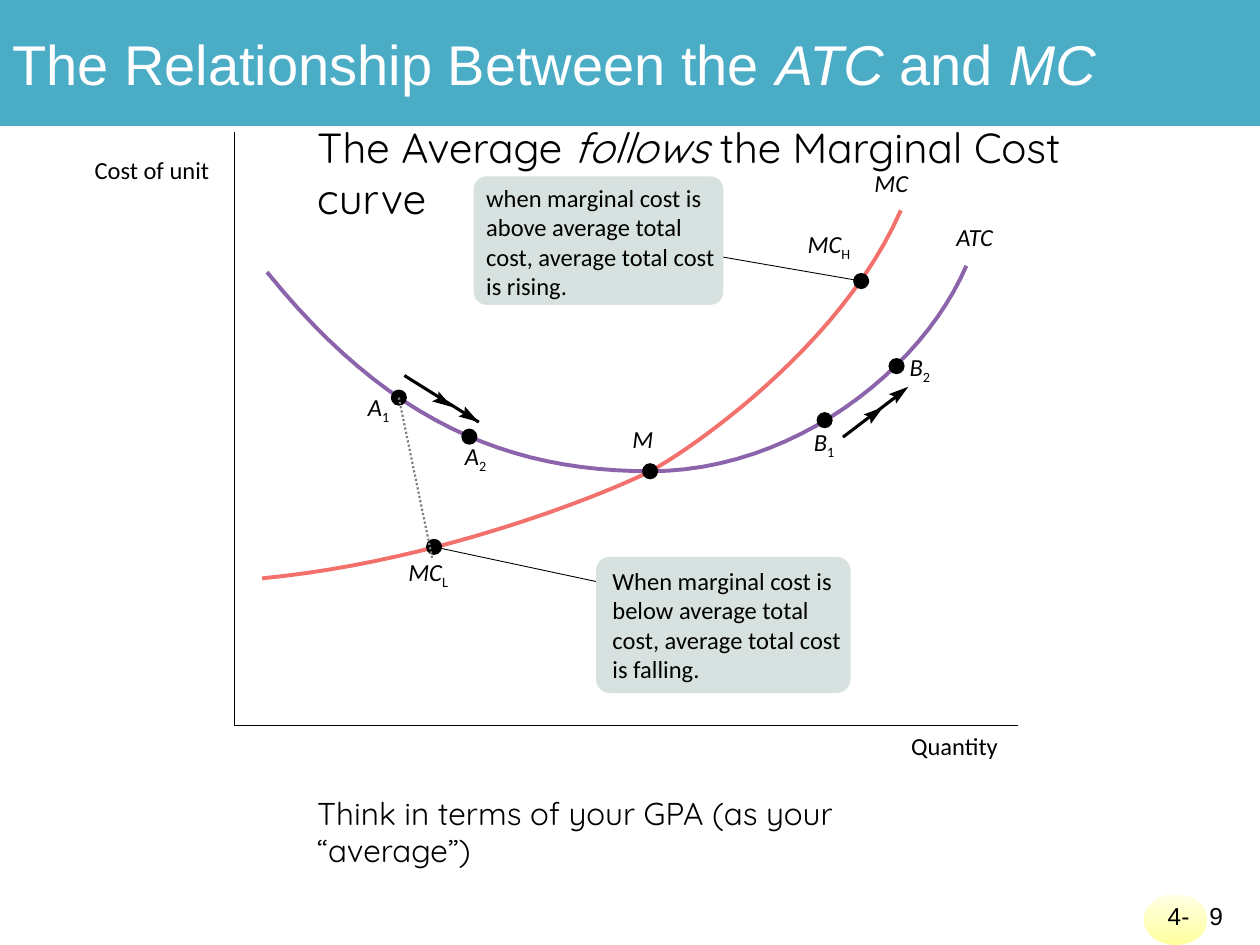
from dataclasses import dataclass
from math import atan2, cos, sin

from lxml.etree import SubElement
from pptx import Presentation
from pptx.dml.color import RGBColor
from pptx.enum.dml import MSO_LINE
from pptx.enum.shapes import MSO_CONNECTOR, MSO_SHAPE
from pptx.enum.text import MSO_ANCHOR, PP_ALIGN
from pptx.oxml.ns import qn
from pptx.util import Pt

BLACK, WHITE, GREY = "000000", "FFFFFF", "808080"
TEAL, PALE, PURPLE, CORAL = "4BACC6", "D7E2E0", "8C64AB", "F3716D"


def rgb(value):
    return RGBColor.from_string(value)


def bezier(start, *segments, steps=24):
    points = [start]
    for bend_1, bend_2, end in segments:
        corners = (points[-1], bend_1, bend_2, end)
        for step in range(1, steps + 1):
            t = step / steps
            weights = ((1 - t) ** 3, 3 * t * (1 - t) ** 2, 3 * t * t * (1 - t), t ** 3)
            points.append(tuple(sum(w * c[axis] for w, c in zip(weights, corners))
                                for axis in (0, 1)))
    return points


@dataclass
class CostSlide:
    """Holds the text style and the slide being drawn."""

    slide: object
    font: str = "Calibri"
    size: float = 14

    def fill_text(self, frame, runs, font=None, size=None, color=BLACK, insets=(0, 0, 0, 0)):
        frame.word_wrap = True
        frame.margin_left, frame.margin_top, frame.margin_right, frame.margin_bottom = map(Pt, insets)
        paragraph = frame.paragraphs[0]
        paragraph.alignment = PP_ALIGN.LEFT
        paragraph.font.name = font or self.font
        paragraph.font.size = Pt(size or self.size)
        paragraph.font.color.rgb = rgb(color)
        for words, style in runs:
            run = paragraph.add_run()
            run.text = words
            if style == "italic":
                run.font.italic = True
            elif style == "sub":
                run._r.get_or_add_rPr().set("baseline", "-25000")

    def text(self, box, runs, **style):
        self.fill_text(self.slide.shapes.add_textbox(*map(Pt, box)).text_frame, runs, **style)

    def shape(self, kind, box, fill):
        shape = self.slide.shapes.add_shape(kind, *map(Pt, box))
        shape.shadow.inherit = False
        shape.line.fill.background()
        shape.fill.solid()
        shape.fill.fore_color.rgb = rgb(fill)
        return shape

    def title(self, box, runs):
        frame = self.shape(MSO_SHAPE.RECTANGLE, box, TEAL).text_frame
        frame.vertical_anchor = MSO_ANCHOR.MIDDLE
        self.fill_text(frame, runs, font="Arial", size=32, color=WHITE, insets=(7.2, 3.6, 7.2, 3.6))

    def note(self, box, words, left, top):
        panel = self.shape(MSO_SHAPE.ROUNDED_RECTANGLE, box, PALE)
        panel.adjustments[0] = 0.1
        panel.text_frame.vertical_anchor = MSO_ANCHOR.TOP
        self.fill_text(panel.text_frame, [(words, "")], insets=(left, top, 0, 0))

    def dot(self, center, diameter=9.2):
        x, y = center
        self.shape(MSO_SHAPE.OVAL, (x - diameter / 2, y - diameter / 2, diameter, diameter), BLACK)

    def badge(self, box, bottom, top):
        fill = self.shape(MSO_SHAPE.OVAL, box, bottom).fill
        fill.gradient()
        fill.gradient_angle = 90
        for stop, color in zip(fill.gradient_stops, (bottom, top)):
            stop.color.rgb = rgb(color)

    def outline(self, points, closed=False):
        start, *rest = [(Pt(x), Pt(y)) for x, y in points]
        builder = self.slide.shapes.build_freeform(*start)
        builder.add_line_segments(rest, close=closed)
        shape = builder.convert_to_shape()
        shape.shadow.inherit = False
        return shape

    def curve(self, points, color, width):
        curve = self.outline(points)
        curve.fill.background()
        curve.line.color.rgb = rgb(color)
        curve.line.width = Pt(width)

    def line(self, start, end, color=BLACK, width=0.5, dash=None):
        line = self.slide.shapes.add_connector(MSO_CONNECTOR.STRAIGHT, *map(Pt, start + end))
        SubElement(line._element.spPr, qn("a:effectLst"))
        line.line.color.rgb = rgb(color)
        line.line.width = Pt(width)
        if dash:
            line.line.dash_style = dash

    def arrow(self, start, end, tips):
        self.line(start, end, width=1.75)
        angle = atan2(end[1] - start[1], end[0] - start[0])
        for x, y in tips:
            corners = ((0, 0), (-11.5, -3.4), (-9.5, 0), (-11.5, 3.4))
            head = self.outline([(x + along * cos(angle) - across * sin(angle),
                                  y + along * sin(angle) + across * cos(angle))
                                 for along, across in corners], closed=True)
            head.fill.solid()
            head.fill.fore_color.rgb = rgb(BLACK)
            head.line.fill.background()


def main():
    deck = Presentation()
    deck.slide_width, deck.slide_height = Pt(720), Pt(540)
    page = CostSlide(deck.slides.add_slide(deck.slide_layouts[6]))
    padding = (7.2, 3.6, 7.2, 3.6)

    page.badge((653.8, 511.2, 36, 28.8), "FFFFA0", "FFFFE3")
    for left, width, words in ((660.2, 30.2, "4-"), (684, 36, "9")):
        page.text((left, 511.2, width, 28.8), [(words, "")], font="Arial", insets=padding)
    page.title((0, 0, 720, 72), [("The Relationship Between the ", ""), ("ATC", "italic"),
                                 (" and ", ""), ("MC", "italic")])

    page.text((54, 88.6, 120, 17), [("Cost of unit", "")])
    page.text((520.6, 417.6, 54, 17), [("Quantity", "")])
    page.curve([(581.8, 414.7), (133.9, 414.7), (133.9, 75.6)], BLACK, 0.5)

    minimum = (371.5, 269.3)
    average_total = bezier((152.6, 155.5), ((221.8, 241.2), (290.2, 269.3), minimum),
                           ((453.6, 269.3), (527, 211), (552.2, 151.9)))
    marginal = bezier((149.8, 330.5), ((254.9, 320.4), (352.1, 279.4), minimum),
                      ((391, 259.2), (480.2, 199.4), (514.8, 120.2)))
    page.curve(average_total, PURPLE, 2.25)
    page.curve(marginal, CORAL, 2.25)

    low, high, first = (248, 312.5), (492.1, 160.6), (227.9, 227.2)
    labels = (
        ("MC", "", (499.7, 95.8), 24, None),
        ("ATC", "", (546.5, 126.7), 29, None),
        ("MC", "L", (233.3, 318.2), 29, low),
        ("MC", "H", (461.5, 131), 30, high),
        ("A", "1", (210.2, 223.9), 17, first),
        ("B", "1", (465.1, 244.1), 17, (471.2, 240.1)),
        ("A", "2", (265.7, 252), 17, (268.2, 249.5)),
        ("B", "2", (519.8, 200.9), 17, (512.3, 209.2)),
        ("M", "", (361.4, 242.6), 14, minimum),
    )
    for name, index, corner, width, center in labels:
        runs = [(name, "italic")] + ([(index, "sub")] if index else [])
        page.text((*corner, width, 17.3), runs)
        if center:
            page.dot(center)

    page.line(low, (342, 332.6))
    page.note((340.6, 318.2, 145.4, 77.8),
              "When marginal cost is below average total cost, average total cost is falling.", 7.2, 3)
    page.line(high, (409, 146.2))
    page.note((270.7, 100.8, 142.6, 73.4),
              "when marginal cost is above average total cost, average total cost is rising.", 5, 1.5)
    page.arrow((231.1, 214.6), (273.6, 241.2), ((273.6, 241.2), (258.5, 232.6)))
    page.arrow((481.7, 249.8), (511.9, 226.8), ((519.1, 221), (504.7, 232.6)))
    page.line(first, (247, 319), GREY, 1.25, MSO_LINE.ROUND_DOT)

    page.text((174.2, 450, 355.7, 28.8), [("Think in terms of your GPA (as your “average”)", "")],
              font="Quicksand", size=18, insets=padding)
    page.text((174.2, 66.2, 450.7, 36),
              [("The Average ", ""), ("follows", "italic"), (" the Marginal Cost curve", "")],
              font="Quicksand", size=24, insets=padding)
    deck.save("out.pptx")


if __name__ == "__main__":
    main()
